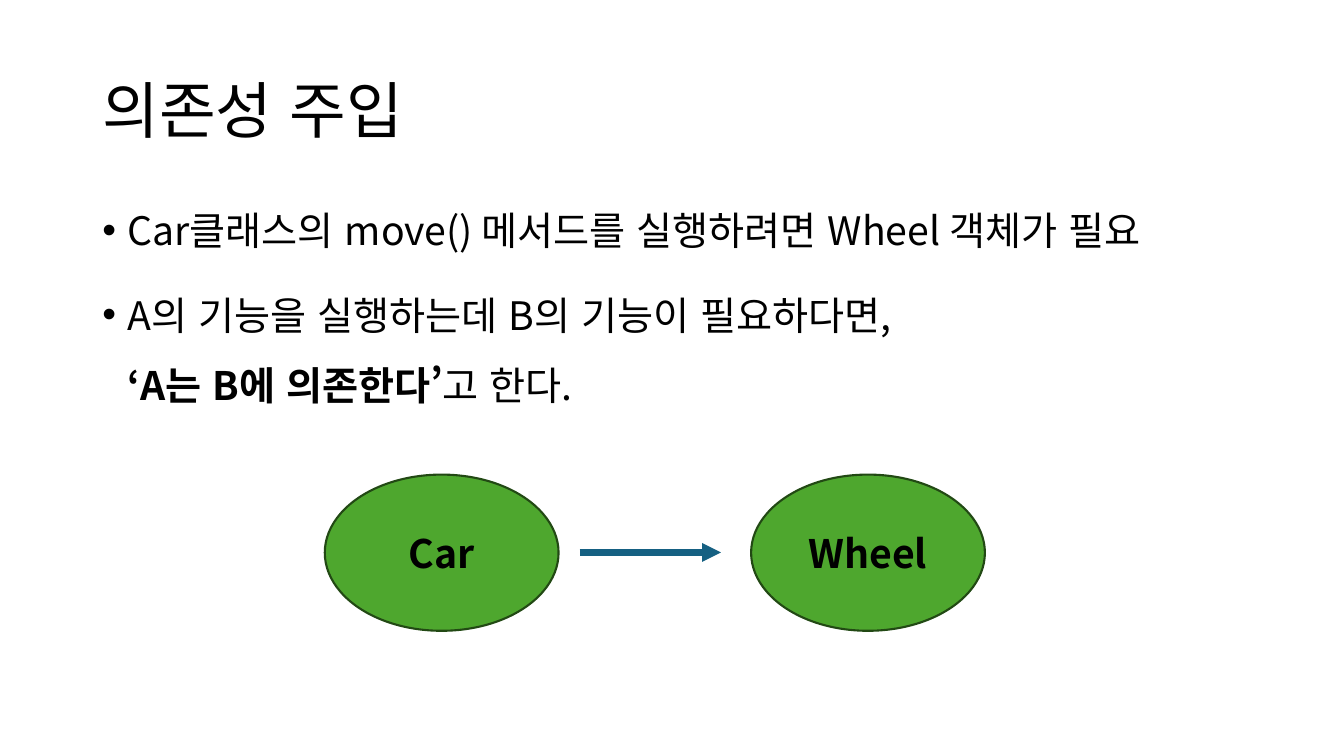
from lxml import etree
from pptx import Presentation
from pptx.dml.color import RGBColor
from pptx.enum.lang import MSO_LANGUAGE_ID
from pptx.enum.shapes import MSO_CONNECTOR, MSO_SHAPE
from pptx.enum.text import MSO_ANCHOR, MSO_AUTO_SIZE, PP_ALIGN
from pptx.oxml.ns import qn
from pptx.util import Pt

FONT = "Noto Sans CJK KR"
BLACK = RGBColor(0x00, 0x00, 0x00)
GREEN = RGBColor(0x4E, 0xA7, 0x2E)
DARK_GREEN = RGBColor(0x22, 0x49, 0x14)
TEAL = RGBColor(0x15, 0x60, 0x82)


def format_run(run, size, bold=False):
    run.font.name = FONT
    run.font.size = Pt(size)
    run.font.bold = bold
    run.font.color.rgb = BLACK
    run.font.language_id = MSO_LANGUAGE_ID.KOREAN


def place(shape, left, top, width, height):
    shape.left, shape.top = Pt(left), Pt(top)
    shape.width, shape.height = Pt(width), Pt(height)


presentation = Presentation()
presentation.slide_width = Pt(960)
presentation.slide_height = Pt(540)
slide = presentation.slides.add_slide(presentation.slide_layouts[1])

# Title
title = slide.shapes.title
place(title, 66, 28.75, 828, 104.4)
title.text_frame.text = "의존성 주입"
title.text_frame.auto_size = MSO_AUTO_SIZE.NONE
title.text_frame.vertical_anchor = MSO_ANCHOR.MIDDLE
title_paragraph = title.text_frame.paragraphs[0]
title_paragraph.alignment = PP_ALIGN.LEFT
title_paragraph.line_spacing = 0.9
format_run(title_paragraph.runs[0], 44)

# Bullets: line spacing, then (text, bold) pieces
bullets = [
    (1.0, [("Car클래스의 move() 메서드를 실행하려면 Wheel 객체가 필요", False)]),
    (1.5, [("A의 기능을 실행하는데 B의 기능이 필요하다면,", False),
           ("‘A는 B에 의존한다’", True),
           ("고 한다.", False)]),
]
body = slide.placeholders[1]
place(body, 66, 143.75, 845, 342.6)
body.text_frame.auto_size = MSO_AUTO_SIZE.NONE
for index, (spacing, pieces) in enumerate(bullets):
    paragraph = body.text_frame.paragraphs[0] if index == 0 else body.text_frame.add_paragraph()
    paragraph.line_spacing = spacing
    paragraph.space_before = Pt(10)
    properties = paragraph._p.get_or_add_pPr()
    properties.set("marL", str(Pt(18)))
    properties.set("indent", str(Pt(-18)))
    etree.SubElement(properties, qn("a:buFont")).set("typeface", "Arial")
    etree.SubElement(properties, qn("a:buChar")).set("char", "•")
    for text, bold in pieces:
        if bold:
            paragraph.add_line_break()
        run = paragraph.add_run()
        run.text = text
        format_run(run, 28, bold)

# Dependency diagram
for name, left in (("Car", 232), ("Wheel", 536.5)):
    ellipse = slide.shapes.add_shape(MSO_SHAPE.OVAL, Pt(left), Pt(339), Pt(167), Pt(111.6))
    ellipse.shadow.inherit = False
    ellipse.fill.solid()
    ellipse.fill.fore_color.rgb = GREEN
    ellipse.line.color.rgb = DARK_GREEN
    ellipse.line.width = Pt(1.5)
    ellipse.text_frame.text = name
    ellipse.text_frame.vertical_anchor = MSO_ANCHOR.MIDDLE
    label = ellipse.text_frame.paragraphs[0]
    label.alignment = PP_ALIGN.CENTER
    format_run(label.runs[0], 28, True)

arrow = slide.shapes.add_connector(MSO_CONNECTOR.STRAIGHT, Pt(414), Pt(394.6), Pt(515), Pt(394.6))
arrow.line.color.rgb = TEAL
arrow.line.width = Pt(4.5)
etree.SubElement(arrow.line._get_or_add_ln(), qn("a:tailEnd")).set("type", "triangle")
etree.SubElement(arrow._element.spPr, qn("a:effectLst"))

presentation.save("out.pptx")
